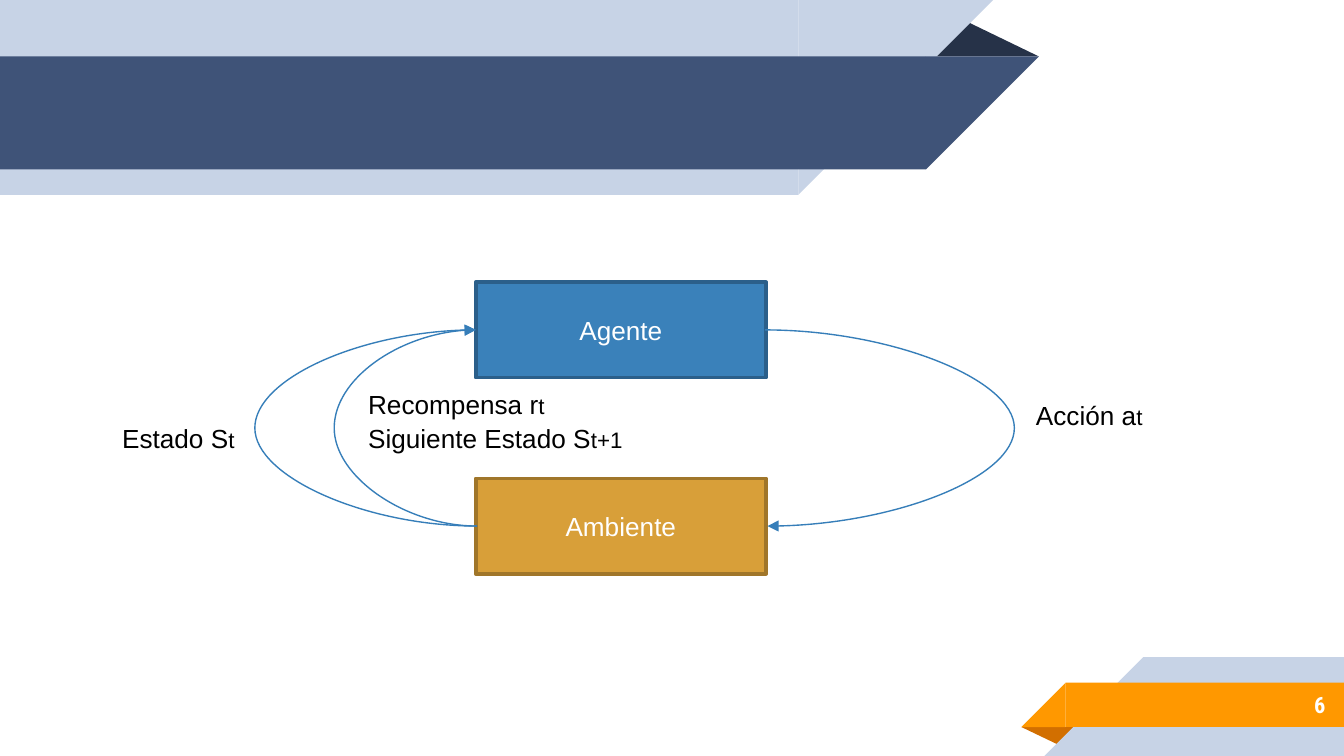
from lxml import etree
from pptx import Presentation
from pptx import util as u
from pptx.dml.color import RGBColor
from pptx.enum import shapes, text
from pptx.oxml.ns import qn

PALE = RGBColor(0xC7, 0xD3, 0xE6)
NAVY = RGBColor(0x3F, 0x53, 0x78)
DARK = RGBColor(0x26, 0x32, 0x48)
ORANGE = RGBColor(0xFF, 0x98, 0x00)
RUST = RGBColor(0xD2, 0x6F, 0x00)
BLUE = RGBColor(0x3A, 0x81, 0xBA)
BLUE_EDGE = RGBColor(0x2B, 0x5F, 0x8A)
GOLD = RGBColor(0xD8, 0x9F, 0x39)
GOLD_EDGE = RGBColor(0xA0, 0x76, 0x2A)
ARROW = RGBColor(0x36, 0x7E, 0xB9)
WHITE = RGBColor(0xFF, 0xFF, 0xFF)
BLACK = RGBColor(0, 0, 0)

COLUMNS = 10
ROWS = COLUMNS * 9 / 16  # widescreen
COLUMN = u.Inches(1)  # square grid: one row is as tall as a column is wide
PRESET = shapes.MSO_SHAPE


def grid(*lengths):
    return [round(length * COLUMN) for length in lengths]


def add_block(slide, preset, box, fill, edge=None, rotation=0):
    shape = slide.shapes.add_shape(preset, *grid(*box))
    shape.shadow.inherit = False
    shape.rotation = rotation
    shape.fill.solid()
    shape.fill.fore_color.rgb = fill
    if edge is None:
        shape.line.fill.background()
    else:
        shape.line.color.rgb = edge
        shape.line.width = u.Pt(2)
    return shape


def format_run(run, size, color, font="Arial", bold=False):
    run.font.size = u.Pt(size)
    run.font.name = font
    run.font.bold = bold
    run.font.color.rgb = color


def add_band(slide, box, fill, slant_right):
    """A bar with one 45-degree end, as wide as the bar is tall."""
    left, top, width, height = box
    if slant_right:
        bar, end, rotation = left, left + width - height, 90
    else:
        bar, end, rotation = left + height, left, 270
    add_block(slide, PRESET.RECTANGLE, (bar, top, width - height, height), fill)
    add_block(slide, PRESET.RIGHT_TRIANGLE, (end, top, height, height), fill,
              rotation=rotation)


def add_fold(slide, box, fill, rotation=0):
    fold = add_block(slide, PRESET.ISOSCELES_TRIANGLE, box, fill, rotation=rotation)
    fold.adjustments[0] = 0.32


def add_header(slide, box):
    left, top, width, height = box
    add_fold(slide, (left + width - 0.85, top + 0.14, 0.85, 0.28), DARK)
    add_band(slide, (left, top, width - 0.34, height), PALE, True)
    add_band(slide, (left, top + 0.42, width, 0.84), NAVY, True)


def add_footer(slide, box, number):
    left, top, width, height = box
    add_fold(slide, (left, top + 0.52, 0.43, 0.14), RUST, 180)
    add_band(slide, (left + 0.17, top, width - 0.17, height), PALE, False)
    add_band(slide, (left, top + 0.19, width, 0.33), ORANGE, False)
    # Slide number
    frame = slide.shapes.add_textbox(
        *grid(left + 0.73, top + 0.18, 1.63, 0.35)).text_frame
    frame.word_wrap = True
    frame.vertical_anchor = text.MSO_ANCHOR.MIDDLE
    frame.margin_top = frame.margin_bottom = u.Inches(0.1)
    frame.text = number
    frame.paragraphs[0].alignment = text.PP_ALIGN.RIGHT
    format_run(frame.paragraphs[0].runs[0], 12, WHITE, "Roboto Condensed", True)


def add_node(slide, box, label, fill, edge):
    frame = add_block(slide, PRESET.RECTANGLE, box, fill, edge).text_frame
    frame.text = label
    frame.vertical_anchor = text.MSO_ANCHOR.MIDDLE
    frame.paragraphs[0].alignment = text.PP_ALIGN.CENTER
    format_run(frame.paragraphs[0].runs[0], 14, WHITE)


def add_label(slide, box, name, index):
    frame = slide.shapes.add_textbox(*grid(*box)).text_frame
    frame.word_wrap = False
    frame.auto_size = text.MSO_AUTO_SIZE.SHAPE_TO_FIT_TEXT
    paragraph = frame.paragraphs[0]
    for words, size in ((name, 14), (index, 12)):
        run = paragraph.add_run()
        run.text = words
        format_run(run, size, BLACK)


def add_loop(slide, start, end, bend):
    """A curved arrow that swings out to the column given by bend."""
    connector = slide.shapes.add_connector(
        shapes.MSO_CONNECTOR.CURVE, *grid(*start, *end))
    connector.line.color.rgb = ARROW
    connector.line.width = u.Pt(0.75)
    properties = connector._element.spPr
    guides = properties.find(qn("a:prstGeom")).get_or_add_avLst()
    reach = (bend - start[0]) / (end[0] - start[0])
    etree.SubElement(guides, qn("a:gd"), name="adj1",
                     fmla=f"val {round(reach * 100000)}")
    etree.SubElement(properties.find(qn("a:ln")), qn("a:tailEnd"), type="triangle")
    etree.SubElement(properties, qn("a:effectLst"))


def add_cycle(slide, box):
    left, top, width, height = box
    node_width, node_height = 2.16, 0.71
    node_left = left + 2.73
    node_right = node_left + node_width
    lower = top + height - node_height
    upper_middle = top + node_height / 2
    lower_middle = lower + node_height / 2

    # Agent and environment
    add_node(slide, (node_left, top, node_width, node_height),
             "Agente", BLUE, BLUE_EDGE)
    add_node(slide, (node_left, lower, node_width, node_height),
             "Ambiente", GOLD, GOLD_EDGE)

    # State and reward go up on the left, action goes down on the right
    for bend in (left + 1.06, left + 1.66):
        add_loop(slide, (node_left + 0.01, lower_middle),
                 (node_left, upper_middle), bend)
    add_loop(slide, (node_right - 0.01, upper_middle),
             (node_right + 0.01, lower_middle), left + 6.73)

    # Labels
    for column, row, label_width, name, index in (
            (0, 0.99, 1.05, "Estado S", "t"),
            (6.8, 0.82, 1, "Acción a", "t"),
            (1.83, 0.74, 1.52, "Recompensa r", "t"),
            (1.83, 0.99, 2.11, "Siguiente Estado S", "t+1")):
        add_label(slide, (left + column, top + row, label_width, 0.34), name, index)


def main():
    presentation = Presentation()
    presentation.slide_width, presentation.slide_height = grid(COLUMNS, ROWS)
    slide = presentation.slides.add_slide(presentation.slide_layouts[6])
    add_header(slide, (0, 0, 7.73, 1.45))
    add_footer(slide, (7.6, 4.89, COLUMNS - 7.6, ROWS - 4.89), "6")
    add_cycle(slide, (0.81, 2.1, 7.8, 2.17))
    presentation.save("out.pptx")


if __name__ == "__main__":
    main()
